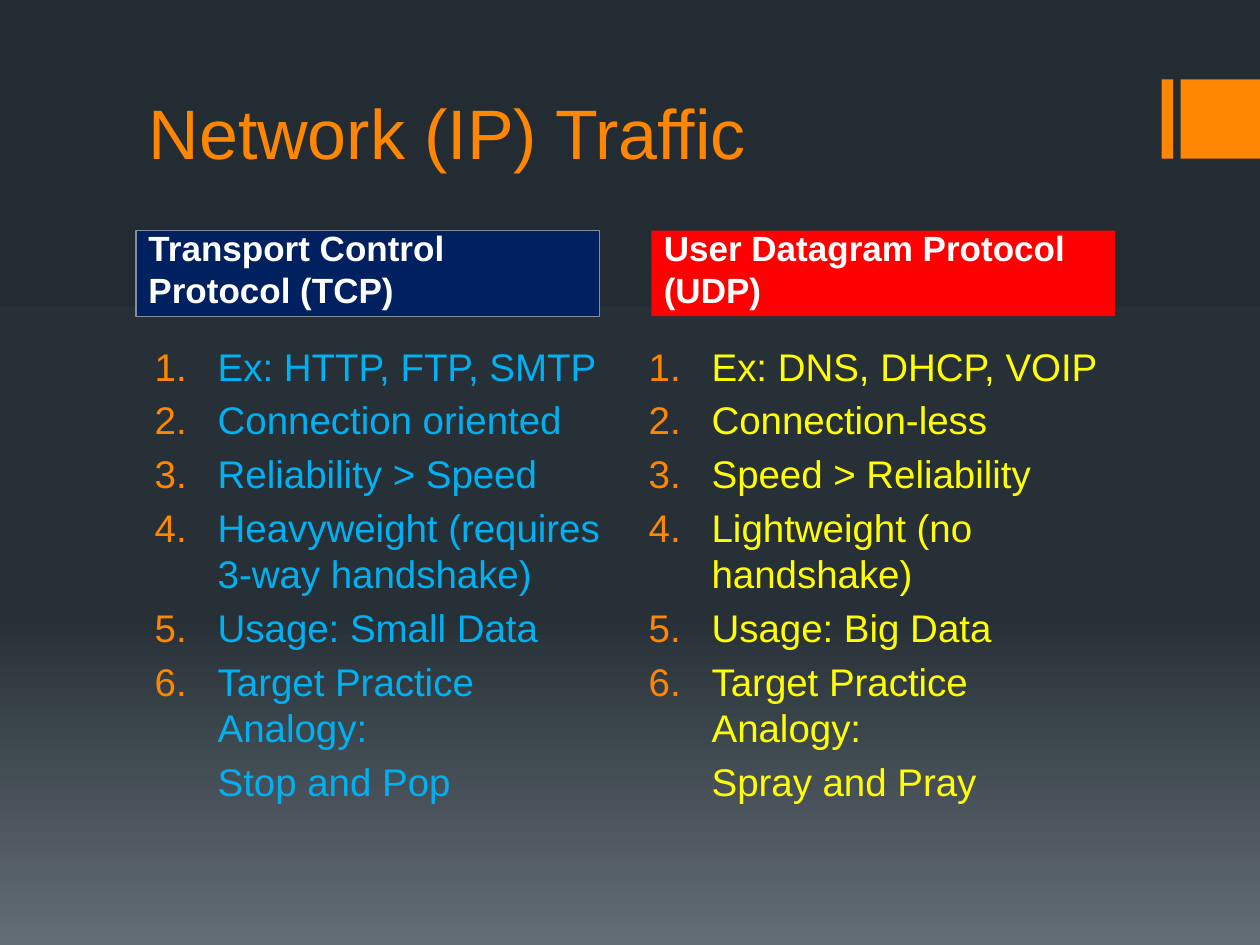
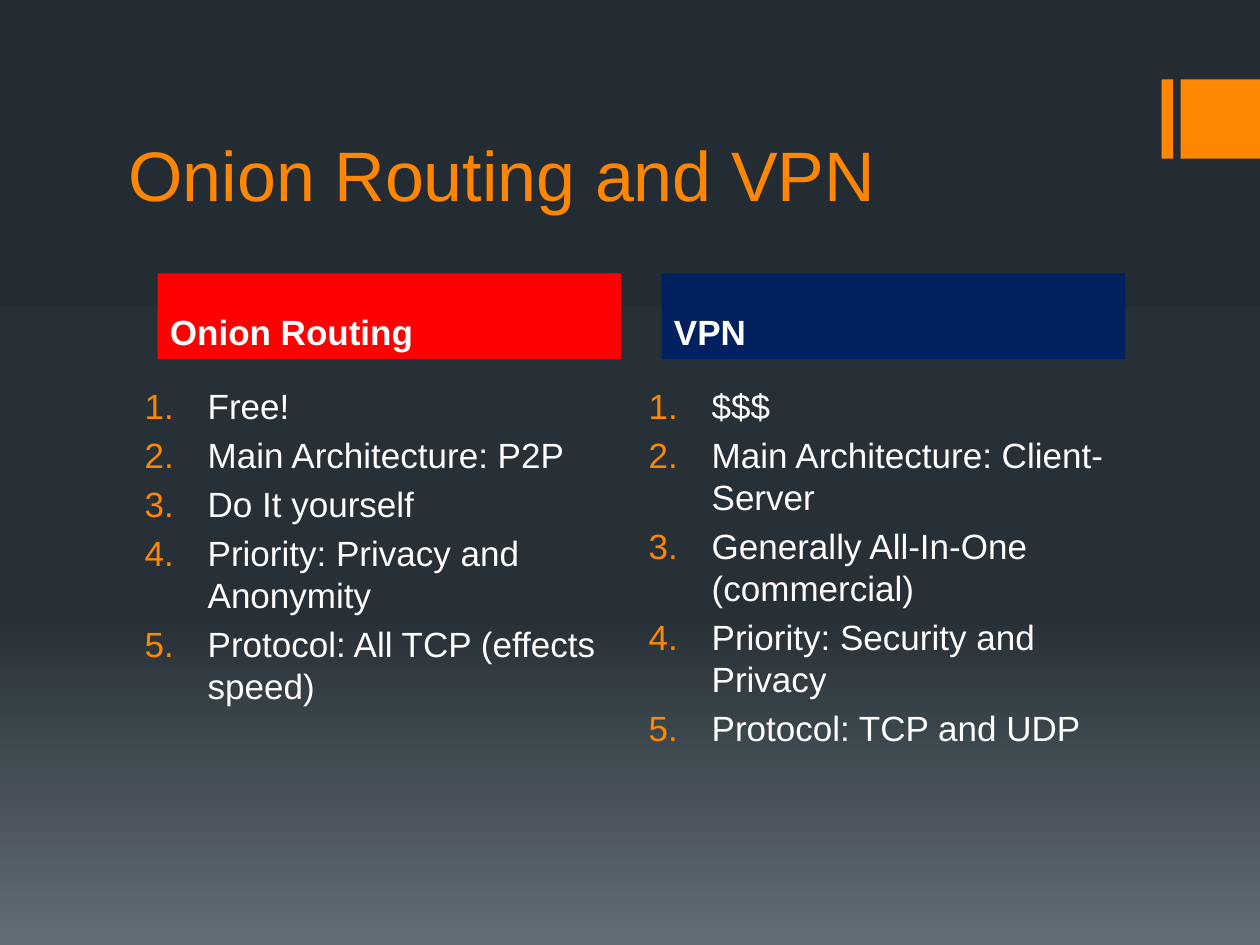
"""Build two slides that compare network protocols and privacy tools."""
from lxml import etree
from pptx import Presentation
from pptx.dml.color import RGBColor
from pptx.enum.shapes import MSO_SHAPE
from pptx.enum.text import MSO_ANCHOR, MSO_AUTO_SIZE, PP_ALIGN
from pptx.oxml.ns import qn
from pptx.util import Inches, Pt

RECT = MSO_SHAPE.RECTANGLE
BOTTOM, TOP = MSO_ANCHOR.BOTTOM, MSO_ANCHOR.TOP
LEFT = PP_ALIGN.LEFT
NO_FIT = MSO_AUTO_SIZE.NONE

ORANGE = RGBColor(0xFF, 0x86, 0x00)
NAVY = RGBColor(0x00, 0x20, 0x60)
RED = RGBColor(0xFF, 0x00, 0x00)
GREY = RGBColor(0x83, 0x8D, 0x9B)
WHITE = RGBColor(0xFF, 0xFF, 0xFF)
SKY = RGBColor(0x00, 0xB0, 0xF0)
YELLOW = RGBColor(0xFF, 0xFF, 0x00)
BACKGROUND = [
    (0, RGBColor(0x24, 0x2C, 0x33)),
    (65, RGBColor(0x27, 0x30, 0x37)),
    (100, RGBColor(0x63, 0x6D, 0x76)),
]

FONT = "Arial"
TITLE_ONLY = 5
BANDS = [(9.22, 0.09), (9.37, 0.63)]


class Deck:
    """Hold the shared style and the slide being built."""

    def __init__(self):
        """Set the slide size and the master background."""
        self.prs = Presentation()
        self.prs.slide_width, self.prs.slide_height = Inches(10), Inches(7.5)
        master = self.prs.slide_master
        fill = master.background.fill
        fill.gradient()
        fill.gradient_angle = 270
        stops = next(master.element.iter(qn("a:gsLst")))
        for stop in list(stops):
            stops.remove(stop)
        for percent, color in BACKGROUND:
            stop = etree.SubElement(stops, qn("a:gs"), pos=str(percent * 1000))
            etree.SubElement(stop, qn("a:srgbClr"), val=str(color))

    def add_slide(self, title, left, top):
        """Start a slide with its title and the orange bands."""
        self.s = self.prs.slides.add_slide(self.prs.slide_layouts[TITLE_ONLY])
        for band_left, width in BANDS:
            self.rect(band_left, 0.63, width, 0.63, ORANGE)
        sp = self.s.shapes.title
        sp.left, sp.top = Inches(left), Inches(top)
        sp.width, sp.height = Inches(8), Inches(1.26)
        tf = self.frame(sp, BOTTOM)
        self.add_text(tf.paragraphs[0], title, 40, ORANGE)

    def rect(self, left, top, width, height, color, line=None):
        """Draw a flat rectangle."""
        sp = self.s.shapes.add_shape(
            RECT, Inches(left), Inches(top), Inches(width), Inches(height))
        sp.shadow.inherit = False
        sp.fill.solid()
        sp.fill.fore_color.rgb = color
        if line is None:
            sp.line.fill.background()
        else:
            sp.line.color.rgb = line
            sp.line.width = Pt(0.75)
        return sp

    def frame(self, sp, anchor):
        """Prepare a wrapping text frame."""
        tf = sp.text_frame
        tf.word_wrap = True
        tf.auto_size = NO_FIT
        tf.vertical_anchor = anchor
        return tf

    def add_text(self, p, text, size, color, bold=False):
        """Add one run to a left-aligned paragraph."""
        p.alignment = LEFT
        r = p.add_run()
        r.text = text
        r.font.name, r.font.size, r.font.bold = FONT, Pt(size), bold
        r.font.color.rgb = color

    def heading(self, text, left, top, color, line=None):
        """Add a coloured column heading."""
        sp = self.rect(left, top, 3.68, 0.68, color, line)
        tf = self.frame(sp, BOTTOM)
        self.add_text(tf.paragraphs[0], text, 20, WHITE, bold=True)

    def numbered_list(self, items, left, top, height, size, color, closing=None):
        """Add a numbered list, with an optional unnumbered closing line."""
        sp = self.s.shapes.add_textbox(
            Inches(left), Inches(top), Inches(3.9), Inches(height))
        tf = self.frame(sp, TOP)
        lines = items + [closing] if closing else items
        for i, text in enumerate(lines):
            p = tf.paragraphs[0] if i == 0 else tf.add_paragraph()
            self.add_text(p, text, size, color)
            p.space_before = Pt(size * 0.2)
            pPr = p._p.get_or_add_pPr()
            pPr.set("marL", str(Inches(0.55)))
            if i < len(items):
                pPr.set("indent", str(Inches(-0.5)))
                bullet = etree.SubElement(pPr, qn("a:buClr"))
                etree.SubElement(bullet, qn("a:srgbClr"), val=str(ORANGE))
                etree.SubElement(pPr, qn("a:buFont"), typeface=FONT)
                etree.SubElement(pPr, qn("a:buAutoNum"), type="arabicPeriod")


def main():
    """Build both slides and save them."""
    deck = Deck()

    deck.add_slide("Network (IP) Traffic", 1.08, 0.17)
    deck.heading("Transport Control Protocol (TCP)", 1.08, 1.83, NAVY, GREY)
    deck.heading("User Datagram Protocol (UDP)", 5.17, 1.83, RED)
    deck.numbered_list(
        ["Ex: HTTP, FTP, SMTP", "Connection oriented", "Reliability > Speed",
         "Heavyweight (requires 3-way handshake)", "Usage: Small Data",
         "Target Practice Analogy:"],
        1.08, 2.67, 3.83, 22, SKY, "Stop and Pop")
    deck.numbered_list(
        ["Ex: DNS, DHCP, VOIP", "Connection-less", "Speed > Reliability",
         "Lightweight (no handshake)", "Usage: Big Data",
         "Target Practice Analogy:"],
        5, 2.67, 4, 22, YELLOW, "Spray and Pray")

    deck.add_slide("Onion Routing and VPN", 0.92, 0.5)
    deck.heading("Onion Routing", 1.25, 2.17, RED)
    deck.heading("VPN", 5.25, 2.17, NAVY)
    deck.numbered_list(
        ["Free!", "Main Architecture: P2P", "Do It yourself",
         "Priority: Privacy and Anonymity",
         "Protocol: All TCP (effects speed)"],
        1, 3, 3.33, 20, WHITE)
    deck.numbered_list(
        ["$$$", "Main Architecture: Client-Server",
         "Generally All-In-One (commercial)",
         "Priority: Security and Privacy", "Protocol: TCP and UDP"],
        5, 3, 3.23, 20, WHITE)

    deck.prs.save("out.pptx")


if __name__ == "__main__":
    main()
